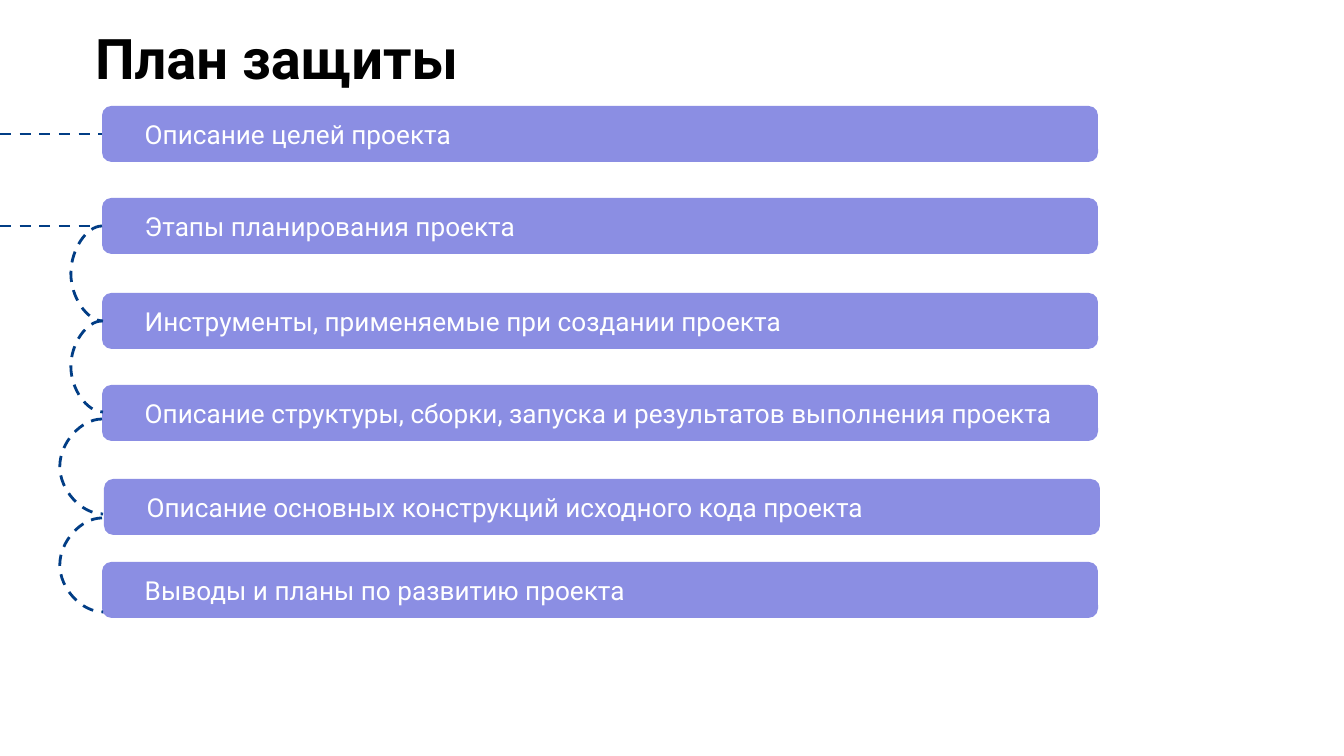
from lxml import etree
from pptx import Presentation
from pptx.dml.color import RGBColor
from pptx.enum.dml import MSO_LINE
from pptx.enum.shapes import MSO_CONNECTOR, MSO_SHAPE
from pptx.enum.text import MSO_ANCHOR, PP_ALIGN
from pptx.oxml.ns import qn
from pptx.util import Pt

ROUNDED = MSO_SHAPE.ROUNDED_RECTANGLE
STRAIGHT = MSO_CONNECTOR.STRAIGHT
CURVE = MSO_CONNECTOR.CURVE
DASH = MSO_LINE.DASH
LEFT = PP_ALIGN.LEFT
TOP = MSO_ANCHOR.TOP
MIDDLE = MSO_ANCHOR.MIDDLE

BLACK = RGBColor(0x00, 0x00, 0x00)
WHITE = RGBColor(0xFF, 0xFF, 0xFF)
LILAC = RGBColor(0x8B, 0x8E, 0xE3)
NAVY = RGBColor(0x01, 0x3D, 0x85)

PAGE_WIDTH, PAGE_HEIGHT = 1344, 756
SCALE = 9144000 / PAGE_WIDTH
FONT = "Roboto"
LEFT_SIDE = 1

TITLE_BOX = (82, 11, 958, 85)
PLAN_BOX = (102, 106, 996, 512)
BAR_HEIGHT = 56
PLAN_ITEMS = [
    (0, 0, "Описание целей проекта"),
    (0, 92, "Этапы планирования проекта"),
    (0, 187, "Инструменты, применяемые при создании проекта"),
    (0, 279, "Описание структуры, сборки, запуска и результатов выполнения проекта"),
    (2, 373, "Описание основных конструкций исходного кода проекта"),
    (0, 456, "Выводы и планы по развитию проекта"),
]
ARCS = [(120, 215, 31), (215, 306, 31), (313, 408, 42), (412, 506, 42)]


def px(length):
    return round(length * SCALE)


def write_text(shape, text, size, color, bold=False, anchor=MIDDLE, side=40, edge=13):
    frame = shape.text_frame
    frame.word_wrap = True
    frame.vertical_anchor = anchor
    frame.margin_left = frame.margin_right = px(side)
    frame.margin_top = frame.margin_bottom = px(edge)
    para = frame.paragraphs[0]
    para.alignment = LEFT
    span = para.add_run()
    span.text = text
    span.font.name = FONT
    span.font.size = Pt(size)
    span.font.bold = bold
    span.font.color.rgb = color


def add_title(page, box):
    title = page.shapes.add_textbox(*map(px, box))
    write_text(title, "План защиты", size=30, color=BLACK, bold=True, anchor=TOP, side=13)


def add_bar(page, box, text):
    bar = page.shapes.add_shape(ROUNDED, *map(px, box))
    bar.shadow.inherit = False
    bar.fill.solid()
    bar.fill.fore_color.rgb = LILAC
    bar.line.fill.background()
    write_text(bar, text, size=14, color=WHITE)
    return bar


def add_dashes(page, kind, start, end):
    line = page.shapes.add_connector(kind, *map(px, start + end))
    line.line.color.rgb = NAVY
    line.line.width = Pt(1.5)
    line.line.dash_style = DASH
    etree.SubElement(line._element.spPr, qn("a:effectLst"))
    return line


def add_arc(page, left, top, bottom, depth):
    arc = add_dashes(page, CURVE, (left, top), (left + 1, bottom))
    geometry = arc._element.spPr.find(qn("a:prstGeom"))
    guides = geometry.find(qn("a:avLst"))
    if guides is None:
        guides = etree.SubElement(geometry, qn("a:avLst"))
    etree.SubElement(guides, qn("a:gd"), name="adj1", fmla=f"val {-depth * 100000}")


def add_plan(page, box):
    left, top, width, height = box
    bars = [
        add_bar(page, (left + shift, top + offset, width, BAR_HEIGHT), text)
        for shift, offset, text in PLAN_ITEMS
    ]
    for bar, (shift, offset, text) in zip(bars[:2], PLAN_ITEMS):
        middle = top + offset + BAR_HEIGHT // 2
        lead = add_dashes(page, STRAIGHT, (0, middle), (left, middle))
        lead.end_connect(bar, LEFT_SIDE)
    for start, end, depth in ARCS:
        add_arc(page, left, top + start, top + end, depth)


def main():
    deck = Presentation()
    deck.slide_width = px(PAGE_WIDTH)
    deck.slide_height = px(PAGE_HEIGHT)
    page = deck.slides.add_slide(deck.slide_layouts[6])
    add_title(page, TITLE_BOX)
    add_plan(page, PLAN_BOX)
    deck.save("out.pptx")


if __name__ == "__main__":
    main()
